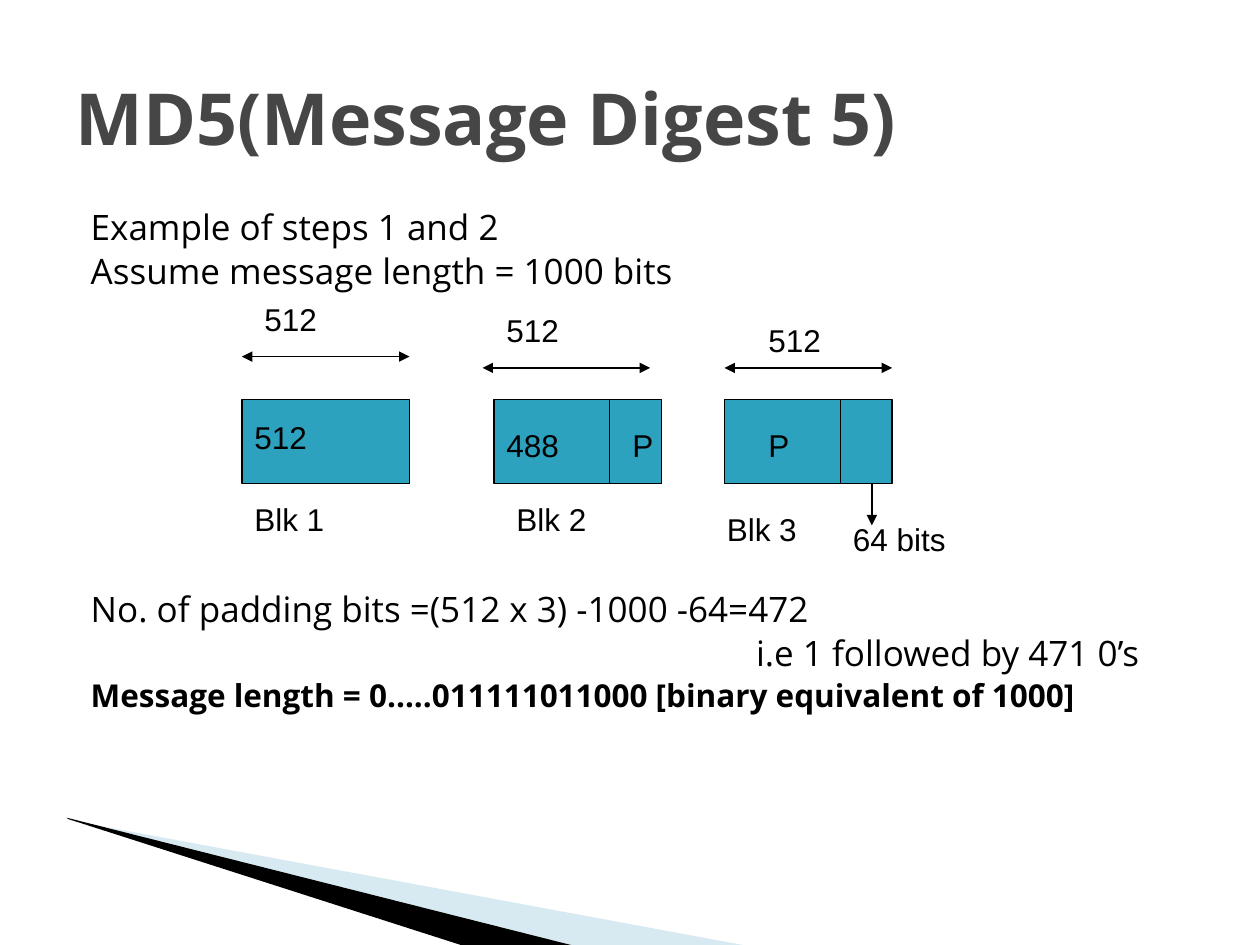
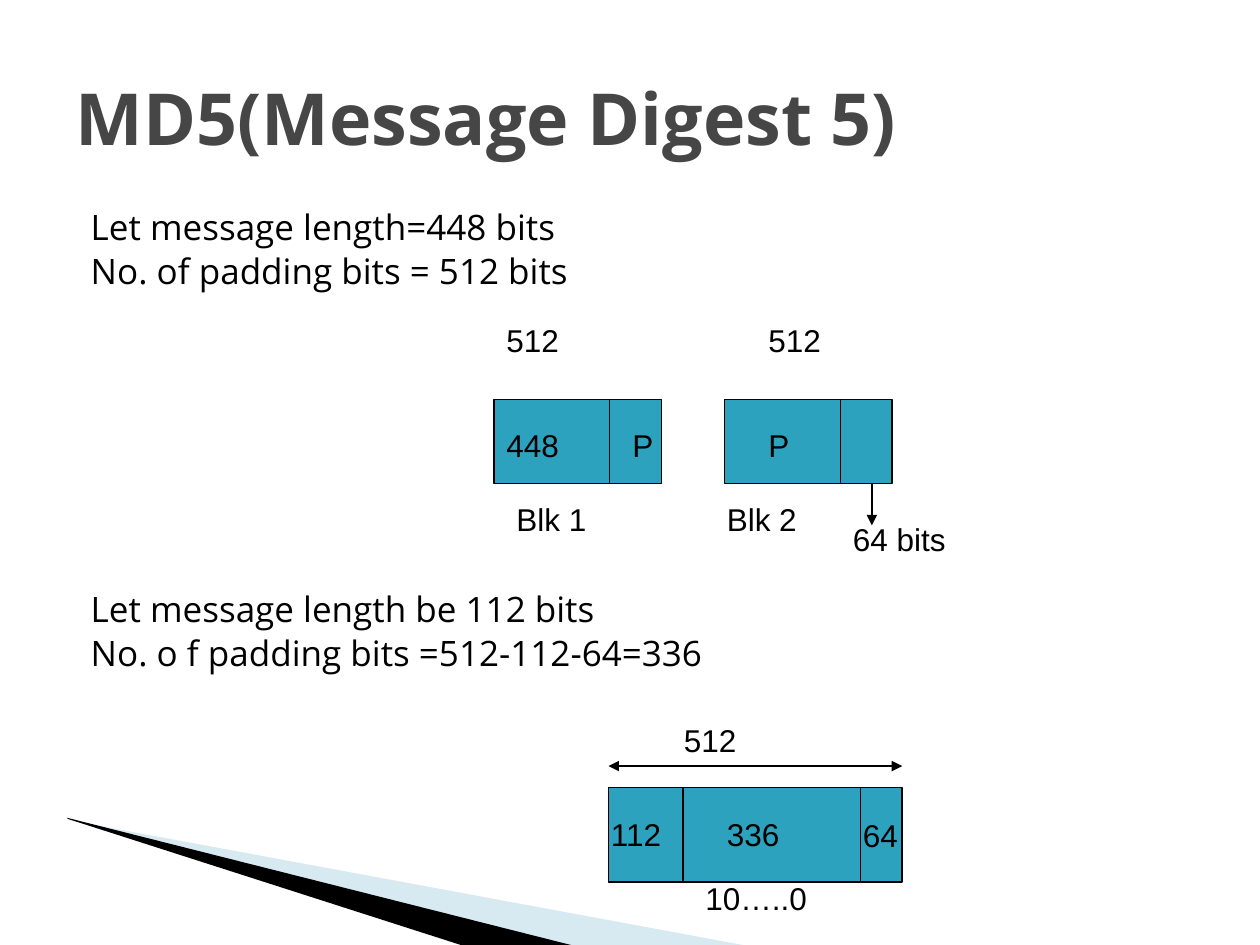
from dataclasses import dataclass

from lxml.etree import SubElement
from pptx import Presentation
from pptx.dml.color import RGBColor
from pptx.enum.shapes import MSO_CONNECTOR as Connector, MSO_SHAPE as Preset
from pptx.enum.text import MSO_ANCHOR as Anchor, MSO_AUTO_SIZE as AutoSize, PP_ALIGN as Align
from pptx.oxml.ns import qn
from pptx.util import Inches, Pt


@dataclass(frozen=True)
class Theme:
    title_color: RGBColor = RGBColor.from_string("464646")
    ink: RGBColor = RGBColor.from_string("000000")
    block: RGBColor = RGBColor.from_string("2DA2BF")
    pale_band: RGBColor = RGBColor.from_string("9FCBDC")
    text_font: str = "Open Sans"
    label_font: str = "Arial"
    title_size: float = 41
    body_size: float = 20
    note_size: float = 18
    label_size: float = 18
    rule_width: float = 0.75
    line_spacing: float = 0.9
    line_gap: float = 3.5
    line_pitch: float = 28


THEME = Theme()
TITLE = "MD5(Message Digest 5)"
DIAGRAM_LINES = 6
BLOCK_TOP, BLOCK_WIDTH, BLOCK_HEIGHT = 3.17, 1.33, 0.67
MESSAGE_LEFT, LENGTH_LEFT = 3.92, 5.75
SPLIT = 0.92


def format_runs(paragraph, font_name, size, color, bold=False):
    for run in paragraph.runs:
        run.font.name = font_name
        run.font.size = Pt(size)
        run.font.bold = bold
        run.font.color.rgb = color


def place(shape, left, top, width, height):
    shape.left, shape.top = Inches(left), Inches(top)
    shape.width, shape.height = Inches(width), Inches(height)


def add_band(slide, master, points, color, alpha=None):
    start, *rest = [(Inches(x), Inches(y)) for x, y in points]
    builder = slide.shapes.build_freeform(*start)
    builder.add_line_segments(rest)
    band = builder.convert_to_shape()
    band.shadow.inherit = False
    band.fill.solid()
    band.fill.fore_color.rgb = color
    band.line.fill.background()
    if alpha is not None:
        color_element = band.element.spPr.find(qn("a:solidFill"))[0]
        SubElement(color_element, qn("a:alpha")).set("val", str(alpha * 1000))
    master.shapes.element.insert(2, band.element)


def add_master_bands(slide, master):
    add_band(slide, master, [(0.53, 6.49), (4.57, 7.51), (3.72, 7.52), (0.54, 6.5)], THEME.ink)
    add_band(slide, master, [(0.55, 6.51), (5.95, 7.51), (4.56, 7.51), (0.55, 6.5)],
             THEME.pale_band, alpha=40)


def set_title(slide):
    title = slide.shapes.title
    place(title, 0.5, 0.3, 9, 1.25)
    text_frame = title.text_frame
    text_frame.text = TITLE
    text_frame.vertical_anchor = Anchor.MIDDLE
    text_frame.auto_size = AutoSize.NONE
    paragraph = text_frame.paragraphs[0]
    paragraph.alignment = Align.LEFT
    format_runs(paragraph, THEME.text_font, THEME.title_size, THEME.title_color, bold=True)


def indent_plain(paragraph, left, hanging):
    properties = paragraph._p.get_or_add_pPr()
    properties.set("marL", str(Inches(left)))
    properties.set("indent", str(-Inches(hanging)))
    SubElement(properties, qn("a:buNone"))


def set_body(slide, above, below, inset_line=None, bold_line=None):
    body = slide.placeholders[1]
    place(body, 0.5, 1.62, 9, 4.95)
    text_frame = body.text_frame
    text_frame.text = "\n".join(above + below)
    text_frame.auto_size = AutoSize.NONE
    for index, paragraph in enumerate(text_frame.paragraphs):
        if paragraph.text == inset_line:
            indent_plain(paragraph, 5.4, 0)
        else:
            indent_plain(paragraph, 0.4, 0.28)
        gap = THEME.line_gap if index else 0
        if index == len(above):
            gap += DIAGRAM_LINES * THEME.line_pitch
        paragraph.space_before = Pt(gap)
        paragraph.line_spacing = THEME.line_spacing
        bold = paragraph.text == bold_line
        size = THEME.note_size if bold else THEME.body_size
        format_runs(paragraph, THEME.text_font, size, THEME.ink, bold)


def add_label(slide, text, left, top, width=1.17):
    label = slide.shapes.add_textbox(Inches(left), Inches(top), Inches(width), Inches(0.4))
    text_frame = label.text_frame
    text_frame.word_wrap = True
    text_frame.auto_size = AutoSize.SHAPE_TO_FIT_TEXT
    text_frame.text = text
    format_runs(text_frame.paragraphs[0], THEME.label_font, THEME.label_size, THEME.ink)


def add_rule(slide, start, end, arrows=()):
    rule = slide.shapes.add_connector(Connector.STRAIGHT, *map(Inches, start + end))
    rule.line.color.rgb = THEME.ink
    rule.line.width = Pt(THEME.rule_width)
    outline = rule.line._get_or_add_ln()
    for arrow in arrows:
        SubElement(outline, qn(f"a:{arrow}")).set("type", "triangle")
    SubElement(rule.element.spPr, qn("a:effectLst"))


def add_width_arrow(slide, left, y, width=BLOCK_WIDTH):
    add_rule(slide, (left, y), (left + width, y), ("headEnd", "tailEnd"))


def add_block(slide, left, top=BLOCK_TOP, width=BLOCK_WIDTH, height=BLOCK_HEIGHT, splits=()):
    block = slide.shapes.add_shape(
        Preset.RECTANGLE, Inches(left), Inches(top), Inches(width), Inches(height))
    block.shadow.inherit = False
    block.fill.solid()
    block.fill.fore_color.rgb = THEME.block
    block.line.color.rgb = THEME.ink
    block.line.width = Pt(THEME.rule_width)
    for split in splits:
        add_rule(slide, (left + split, top), (left + split, top + height))


def add_padded_pair(slide, message_bits):
    for left in (MESSAGE_LEFT, LENGTH_LEFT):
        add_block(slide, left, splits=[SPLIT])
    add_label(slide, message_bits, MESSAGE_LEFT, 3.33, 0.75)
    for left in (4.92, 6):
        add_label(slide, "P", left, 3.33, 0.33)
    bottom = BLOCK_TOP + BLOCK_HEIGHT
    add_rule(slide, (6.92, bottom), (6.92, 4.17), ["tailEnd"])
    add_label(slide, "64 bits", 6.67, 4.08)


def add_labels(slide, labels):
    for label in labels:
        add_label(slide, *label)


def build_three_blocks(slide):
    inset_line = "i.e 1 followed by 471 0’s"
    bold_line = "Message length = 0…..011111011000 [binary equivalent of 1000]"
    set_body(
        slide,
        ["Example of steps 1 and 2", "Assume message length = 1000 bits"],
        ["No. of padding bits =(512 x 3) -1000 -64=472", inset_line, bold_line],
        inset_line, bold_line)
    add_block(slide, 1.92)
    add_padded_pair(slide, "488")
    for left, y in ((1.92, 2.83), (3.83, 2.92), (LENGTH_LEFT, 2.92)):
        add_width_arrow(slide, left, y)
    add_labels(slide, [
        ("512", 2, 2.33), ("512", 3.92, 2.42), ("512", 6, 2.5), ("512", 1.92, 3.27),
        ("Blk 1", 1.92, 3.92), ("Blk 2", 4, 3.92), ("Blk 3", 5.67, 4)])


def build_short_messages(slide):
    set_body(
        slide,
        ["Let message length=448 bits", "No. of padding bits = 512 bits"],
        ["Let message length be 112 bits", "No. o f padding bits =512-112-64=336"])
    add_padded_pair(slide, "448")
    add_labels(slide, [
        ("512", 3.92, 2.5), ("512", 6, 2.5), ("Blk 1", 4, 3.92), ("Blk 2", 5.67, 3.92)])
    left, width = 4.83, 2.33
    add_block(slide, left, 6.25, width, 0.75, splits=[0.59, 2])
    add_width_arrow(slide, left, 6.08, width)
    add_labels(slide, [
        ("512", 5.33, 5.67), ("112", 4.75, 6.42, 0.67), ("336", 5.67, 6.42, 0.67),
        ("64", 6.75, 6.43, 0.67), ("10…..0", 5.5, 6.93, 1.5)])


def main():
    presentation = Presentation()
    presentation.slide_width, presentation.slide_height = Inches(10), Inches(7.5)
    layout = presentation.slide_layouts[1]
    for build in (build_three_blocks, build_short_messages):
        slide = presentation.slides.add_slide(layout)
        set_title(slide)
        build(slide)
    add_master_bands(presentation.slides[0], presentation.slide_master)
    presentation.save("out.pptx")


if __name__ == "__main__":
    main()
